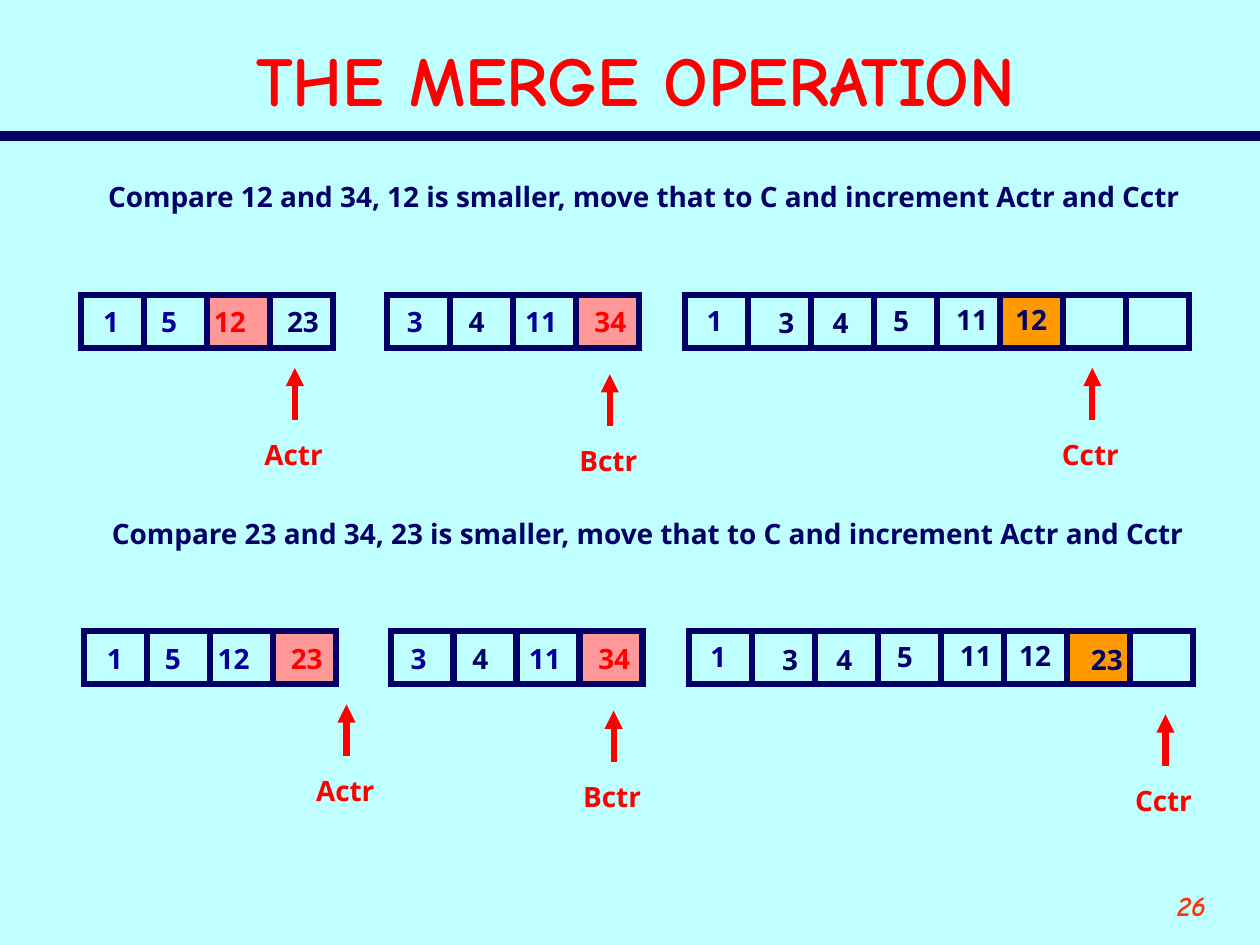
from dataclasses import dataclass

from lxml import etree
from pptx import Presentation
from pptx import util as u
from pptx.dml import color
from pptx.enum import shapes, text
from pptx.oxml import ns


@dataclass(frozen=True)
class Theme:
    background: str = "BFFFFF"
    navy: str = "000066"
    blue: str = "000099"
    red: str = "FF0000"
    orange_red: str = "FF3300"
    compared: str = "FF9999"
    moved: str = "FF9900"
    title_font: str = "Comic Neue"
    body_font: str = "Noto Sans"
    title_size: int = 40
    body_size: int = 16
    rule_width: float = 6
    line_width: float = 3.5


THEME = Theme()
CELL_W, CELL_H, CELL_TOP = 0.5, 0.42, 2.34
TEXT_H = 0.37
ARROW_H, LABEL_GAP, LABEL_W = 0.41, 0.5, 0.68

ARRAYS = {
    "A": {
        "left": 0.64, "cells": 4, "mark": THEME.compared, "mark_text": THEME.red,
        "slots": [(0.72, 2.37, THEME.blue), (1.18, 2.37, THEME.blue),
                  (1.6, 2.37, THEME.blue), (2.18, 2.37, THEME.navy)],
    },
    "B": {
        "left": 3.07, "cells": 4, "mark": THEME.compared, "mark_text": THEME.red,
        "slots": [(3.13, 2.37, THEME.blue), (3.62, 2.37, THEME.navy),
                  (4.07, 2.37, THEME.blue), (4.62, 2.37, THEME.red)],
    },
    "C": {
        "left": 5.44, "cells": 8, "mark": THEME.moved, "mark_text": THEME.navy,
        "slots": [(5.51, 2.36, THEME.blue), (6.08, 2.38, THEME.navy),
                  (6.51, 2.38, THEME.navy), (6.99, 2.36, THEME.navy),
                  (7.49, 2.35, THEME.navy), (7.96, 2.35, THEME.navy),
                  (8.53, 2.38, THEME.navy)],
    },
}

STEPS = [
    {
        "offset": (0, 0),
        "caption": "Compare 12 and 34, 12 is smaller, move that to C and increment Actr and Cctr",
        "values": {"A": [1, 5, 12, 23], "B": [3, 4, 11, 34], "C": [1, 3, 4, 5, 11, 12]},
        "marked": {"A": 2, "B": 3, "C": 5},
        "pointers": {"Actr": (2.34, 2.92), "Bctr": (4.84, 2.97), "Cctr": (8.67, 2.92)},
    },
    {
        "offset": (0.03, 2.67),
        "caption": "Compare 23 and 34, 23 is smaller, move that to C and increment Actr and Cctr",
        "values": {"A": [1, 5, 12, 23], "B": [3, 4, 11, 34], "C": [1, 3, 4, 5, 11, 12, 23]},
        "marked": {"A": 3, "B": 3, "C": 6},
        "pointers": {"Actr": (2.72, 2.92), "Bctr": (4.84, 2.97), "Cctr": (9.22, 3)},
    },
]


def rgb(value):
    return color.RGBColor.from_string(value)


def box(*lengths):
    return [u.Inches(n) for n in lengths]


def set_values(target, values):
    for name, value in values.items():
        setattr(target, name, value)


def add_text(parent, content, bounds, ink, frame=None, align=None, **font):
    tf = parent.add_textbox(*box(*bounds)).text_frame
    set_values(tf, frame or {"word_wrap": False,
                             "auto_size": text.MSO_AUTO_SIZE.SHAPE_TO_FIT_TEXT})
    p = tf.paragraphs[0]
    p.alignment = align
    r = p.add_run()
    r.text = content
    set_values(r.font, {"name": THEME.body_font, "size": u.Pt(THEME.body_size),
                        "bold": True, **font})
    r.font.color.rgb = rgb(ink)


def add_line(parent, start, end, ink, width, arrow=False):
    line = parent.add_connector(shapes.MSO_CONNECTOR.STRAIGHT, *box(*start, *end))
    line.line.color.rgb = rgb(ink)
    line.line.width = u.Pt(width)
    if arrow:
        head = etree.SubElement(line.line._get_or_add_ln(), ns.qn("a:headEnd"))
        head.set("type", "triangle")
    etree.SubElement(line._element.spPr, ns.qn("a:effectLst"))


def add_cell(s, left, top, fill):
    cell = s.shapes.add_shape(shapes.MSO_SHAPE.RECTANGLE, *box(left, top, CELL_W, CELL_H))
    cell.shadow.inherit = False
    if fill:
        cell.fill.solid()
        cell.fill.fore_color.rgb = rgb(fill)
    else:
        cell.fill.background()
    cell.line.color.rgb = rgb(THEME.navy)
    cell.line.width = u.Pt(THEME.line_width)
    miter = etree.SubElement(cell.line._get_or_add_ln(), ns.qn("a:miter"))
    miter.set("lim", "800000")


def add_array(s, array, values, marked, dx, dy):
    for i in range(array["cells"]):
        fill = array["mark"] if i == marked else None
        add_cell(s, array["left"] + dx + i * CELL_W, CELL_TOP + dy, fill)
    for i, (value, (x, y, ink)) in enumerate(zip(values, array["slots"])):
        width = 0.32 if value < 10 else 0.47
        add_text(s.shapes, str(value), (x + dx, y + dy, width, TEXT_H),
                 array["mark_text"] if i == marked else ink)


def add_pointer(s, name, x, y):
    group = s.shapes.add_group_shape().shapes
    add_line(group, (x, y), (x, y + ARROW_H), THEME.red, THEME.line_width, arrow=True)
    add_text(group, name, (x - LABEL_W / 2, y + LABEL_GAP, LABEL_W, TEXT_H), THEME.red)


def add_step(s, step):
    dx, dy = step["offset"]
    add_text(s.shapes, step["caption"], (0.76 + dx, 1.38 + dy, 8.74, TEXT_H), THEME.navy)
    for key, array in ARRAYS.items():
        add_array(s, array, step["values"][key], step["marked"][key], dx, dy)
    for name, (x, y) in step["pointers"].items():
        add_pointer(s, name, x + dx, y + dy)


def main():
    prs = Presentation()
    set_values(prs, {"slide_width": u.Inches(10), "slide_height": u.Inches(7.5)})
    s = prs.slides.add_slide(prs.slide_layouts[6])
    s.background.fill.solid()
    s.background.fill.fore_color.rgb = rgb(THEME.background)

    add_line(s.shapes, (0, 1.08), (10, 1.08), THEME.navy, THEME.rule_width)
    add_text(s.shapes, "26", (8.67, 7, 1, 0.5), THEME.orange_red,
             frame={"word_wrap": True}, align=text.PP_ALIGN.RIGHT,
             name=THEME.title_font, italic=True)
    add_text(s.shapes, "THE MERGE OPERATION", (0.42, 0.25, 9.25, 0.75), THEME.red,
             frame={"word_wrap": True, "vertical_anchor": text.MSO_ANCHOR.MIDDLE},
             align=text.PP_ALIGN.CENTER,
             name=THEME.title_font, size=u.Pt(THEME.title_size))
    for step in STEPS:
        add_step(s, step)
    prs.save("out.pptx")


if __name__ == "__main__":
    main()
